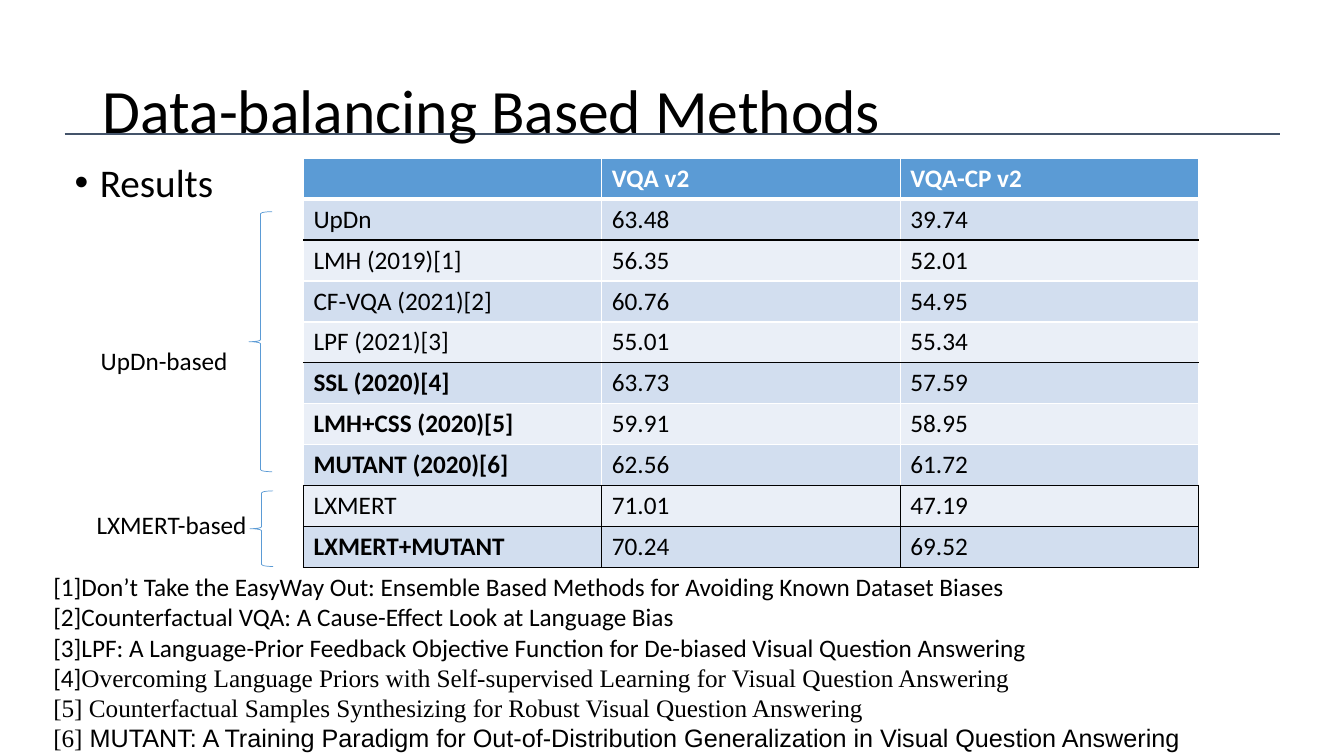
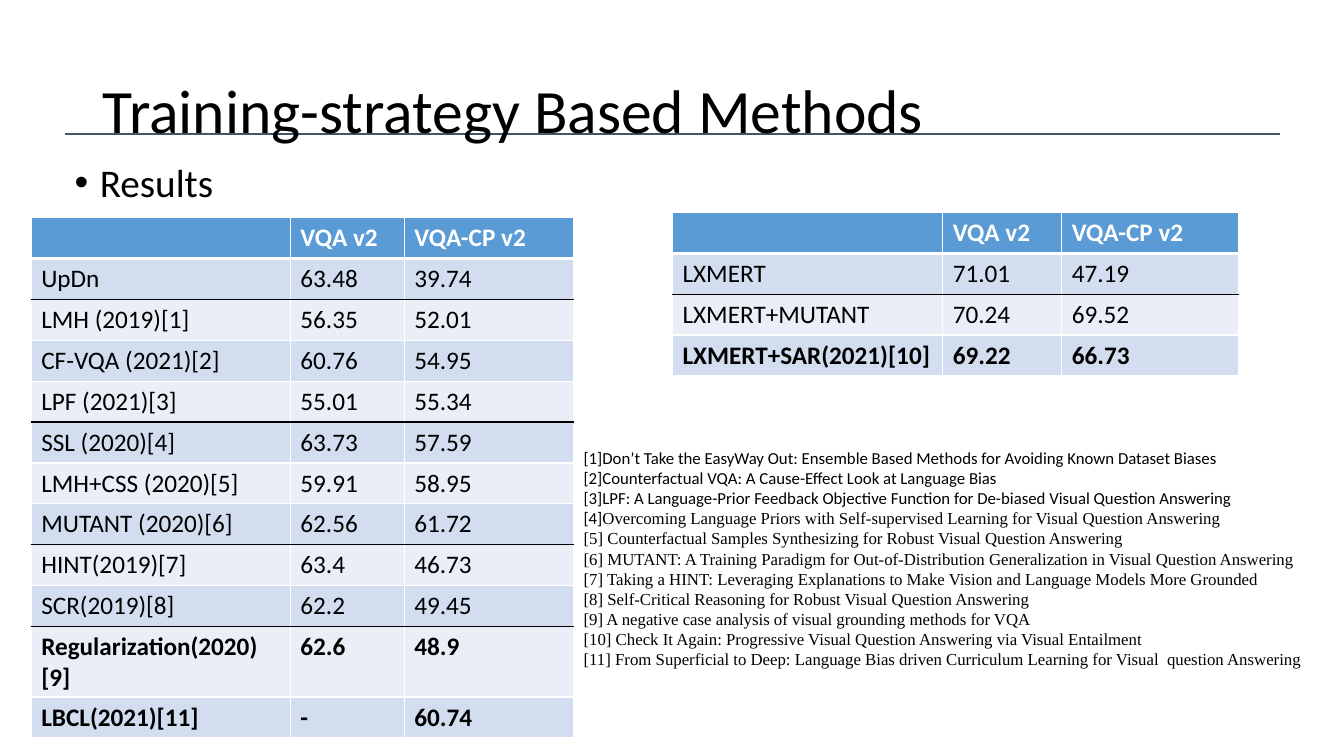
import dataclasses

import lxml.etree
import pptx
import pptx.dml.color
import pptx.enum.shapes
import pptx.enum.text
import pptx.oxml.ns
import pptx.util

Inches = pptx.util.Inches
Pt = pptx.util.Pt
qn = pptx.oxml.ns.qn


@dataclasses.dataclass(frozen=True)
class Theme:
    ink: str = "000000"
    white: str = "FFFFFF"
    rule: str = "44546A"
    blue: str = "5B9BD5"
    bands: tuple = ("D2DEEF", "EAEFF7")
    sans: str = "Calibri"
    serif: str = "Times New Roman"
    plain: str = "Arial"
    title: int = 44
    lead: int = 28
    text: int = 18
    small: int = 12


THEME = Theme()

HEAD = ("", "VQA v2", "VQA-CP v2")
BASE = [
    ("UpDn", "63.48", "39.74"),
    ("LMH (2019)[1]", "56.35", "52.01"),
    ("CF-VQA (2021)[2]", "60.76", "54.95"),
    ("LPF (2021)[3]", "55.01", "55.34"),
    ("SSL (2020)[4]", "63.73", "57.59"),
    ("LMH+CSS (2020)[5]", "59.91", "58.95"),
    ("MUTANT (2020)[6]", "62.56", "61.72"),
]
CROSS = [("LXMERT", "71.01", "47.19"), ("LXMERT+MUTANT", "70.24", "69.52")]
TRAIN = [
    ("HINT(2019)[7]", "63.4", "46.73"),
    ("SCR(2019)[8]", "62.2", "49.45"),
    ("Regularization(2020)[9]", "62.6", "48.9"),
    ("LBCL(2021)[11]", "-", "60.74"),
]
CHECK = [("LXMERT+SAR(2021)[10]", "69.22", "66.73")]
WORKS = [
    "[1]Don’t Take the EasyWay Out: Ensemble Based Methods for Avoiding Known Dataset Biases",
    "[2]Counterfactual VQA: A Cause-Effect Look at Language Bias",
    "[3]LPF: A Language-Prior Feedback Objective Function for De-biased Visual Question Answering",
    "[4]Overcoming Language Priors with Self-supervised Learning for Visual Question Answering",
    "[5] Counterfactual Samples Synthesizing for Robust Visual Question Answering",
    "[6] MUTANT: A Training Paradigm for Out-of-Distribution Generalization in Visual Question Answering",
    "[7] Taking a HINT: Leveraging Explanations to Make Vision and Language Models More Grounded",
    "[8] Self-Critical Reasoning for Robust Visual Question Answering",
    "[9] A negative case analysis of visual grounding methods for VQA",
    "[10] Check It Again: Progressive Visual Question Answering via Visual Entailment",
    "[11] From Superficial to Deep: Language Bias driven Curriculum Learning for Visual  question Answering",
]


def tint(code):
    return pptx.dml.color.RGBColor.from_string(code)


def write(para, text, size=THEME.text, font=THEME.sans, color=THEME.ink, bold=False):
    run = para.add_run()
    run.text = text
    run.font.size = Pt(size)
    run.font.name = font
    run.font.bold = bold
    run.font.color.rgb = tint(color)


def edge(cell, sides):
    props = cell._tc.get_or_add_tcPr()
    for place, (side, (color, width)) in enumerate(sides.items()):
        line = lxml.etree.Element(qn("a:ln" + side), w=str(Pt(width)))
        fill = lxml.etree.SubElement(line, qn("a:solidFill"))
        lxml.etree.SubElement(fill, qn("a:srgbClr"), val=color)
        props.insert(place, line)


class Deck:
    def __init__(self, theme):
        self.theme = theme
        self.file = pptx.Presentation()
        self.file.slide_width = Inches(13.33)
        self.file.slide_height = Inches(7.5)
        self.slide = None

    def place(self, shape, left, top, width, height):
        shape.left, shape.top = Inches(left), Inches(top)
        shape.width, shape.height = Inches(width), Inches(height)

    def page(self, title, lead):
        self.slide = self.file.slides.add_slide(self.file.slide_layouts[1])
        self.rule(0.64, 12.7, 1.33)

        head, body = self.slide.placeholders
        self.place(head, 0.92, 0.4, 11.5, 1.45)
        head.text_frame.vertical_anchor = pptx.enum.text.MSO_ANCHOR.MIDDLE
        self.place(body, 0.64, 1.57, 12.05, 5.29)
        for shape, text, size in ((head, title, self.theme.title), (body, lead, self.theme.lead)):
            shape.text_frame.auto_size = pptx.enum.text.MSO_AUTO_SIZE.NONE
            para = shape.text_frame.paragraphs[0]
            para.alignment = pptx.enum.text.PP_ALIGN.LEFT
            para.line_spacing = 0.9
            para.space_before = Pt(0)
            write(para, text, size=size)
        props = body.text_frame.paragraphs[0]._p.get_or_add_pPr()
        props.set("marL", str(Inches(0.25)))
        props.set("indent", str(Inches(-0.25)))

    def rule(self, left, right, top):
        shapes = self.slide.shapes
        line = shapes.add_connector(
            pptx.enum.shapes.MSO_CONNECTOR.STRAIGHT,
            Inches(left), Inches(top), Inches(right), Inches(top))
        line.line.color.rgb = tint(self.theme.rule)
        line.line.width = Pt(2)
        lxml.etree.SubElement(line.element.spPr, qn("a:effectLst"))
        shapes.element.insert(2, line.element)

    def box(self, left, top, width, height):
        shape = self.slide.shapes.add_textbox(
            Inches(left), Inches(top), Inches(width), Inches(height))
        shape.text_frame.word_wrap = True
        return shape.text_frame

    def label(self, text, left, top, width):
        write(self.box(left, top, width, 0.4).paragraphs[0], text)

    def brace(self, left, top, height):
        shape = self.slide.shapes.add_shape(
            pptx.enum.shapes.MSO_SHAPE.LEFT_BRACE,
            Inches(left), Inches(top), Inches(0.23), Inches(height))
        shape.shadow.inherit = False
        shape.fill.background()
        shape.line.color.rgb = tint(self.theme.blue)
        shape.line.width = Pt(0.5)

    def cite(self, works, size, left, top, width, height, fonts=None):
        theme, fonts = self.theme, fonts or {}
        frame = self.box(left, top, width, height)
        for count, work in enumerate(works, 1):
            para = frame.paragraphs[0] if count == 1 else frame.add_paragraph()
            mark, close, name = work.partition("]")
            write(para, mark + close, size=size, font=theme.sans if count <= 4 else theme.serif)
            font = theme.sans if count <= 3 else theme.serif
            write(para, name, size=size, font=fonts.get(count, font))

    def table(self, rows, left, top, widths, height, rules=(), boxed=(), bold=(), span=3):
        theme = self.theme
        rows = [HEAD] + rows
        grid = self.slide.shapes.add_table(
            len(rows), len(widths), Inches(left), Inches(top),
            Inches(sum(widths)), Inches(height)).table
        for col, width in zip(grid.columns, widths):
            col.width = Inches(width)

        def below(row):
            if row == 0:
                return theme.white, 3
            dark = row in rules or row in boxed or row + 1 in boxed
            return (theme.ink if dark else theme.white), 1

        for y, row in enumerate(rows):
            side = (theme.ink if y in boxed else theme.white, 1)
            upper = below(y - 1) if y else side
            for x, text in enumerate(row):
                cell = grid.cell(y, x)
                cell.fill.solid()
                cell.fill.fore_color.rgb = tint(theme.bands[(y - 1) % 2] if y else theme.blue)
                edge(cell, {"L": side, "R": side, "T": upper, "B": below(y)})
                if text:
                    write(cell.text_frame.paragraphs[0], text,
                          color=theme.ink if y else theme.white,
                          bold=y == 0 or (y in bold and x < span))

    def save(self):
        self.file.save("out.pptx")


def main():
    deck = Deck(THEME)

    deck.page("Data-balancing Based Methods", "Results")
    deck.cite(WORKS[:6], THEME.text, 0.43, 5.62, 11.48, 1.88, fonts={6: THEME.plain})
    deck.table(BASE + CROSS, 3.01, 1.57, [2.96] * 3, 4.06,
               rules={1, 4}, boxed={8, 9}, bold={5, 6, 7, 9}, span=1)
    deck.brace(2.47, 2.1, 2.58)
    deck.label("UpDn-based", 0.9, 3.38, 1.55)
    deck.brace(2.48, 4.87, 0.75)
    deck.label("LXMERT-based", 0.86, 5, 1.8)

    deck.page("Training-strategy Based Methods", "Results")
    deck.cite(WORKS, THEME.small, 5.69, 4.39, 7.64, 2.73)
    deck.table(BASE + TRAIN, 0.31, 2.16, [2.57, 1.13, 1.68], 4.87,
               rules={1, 4, 7, 9}, bold={10, 11})
    deck.table(CROSS + CHECK, 6.67, 2.11, [2.68, 1.18, 1.75], 1.62, rules={1}, bold={3})

    deck.save()


if __name__ == "__main__":
    main()
